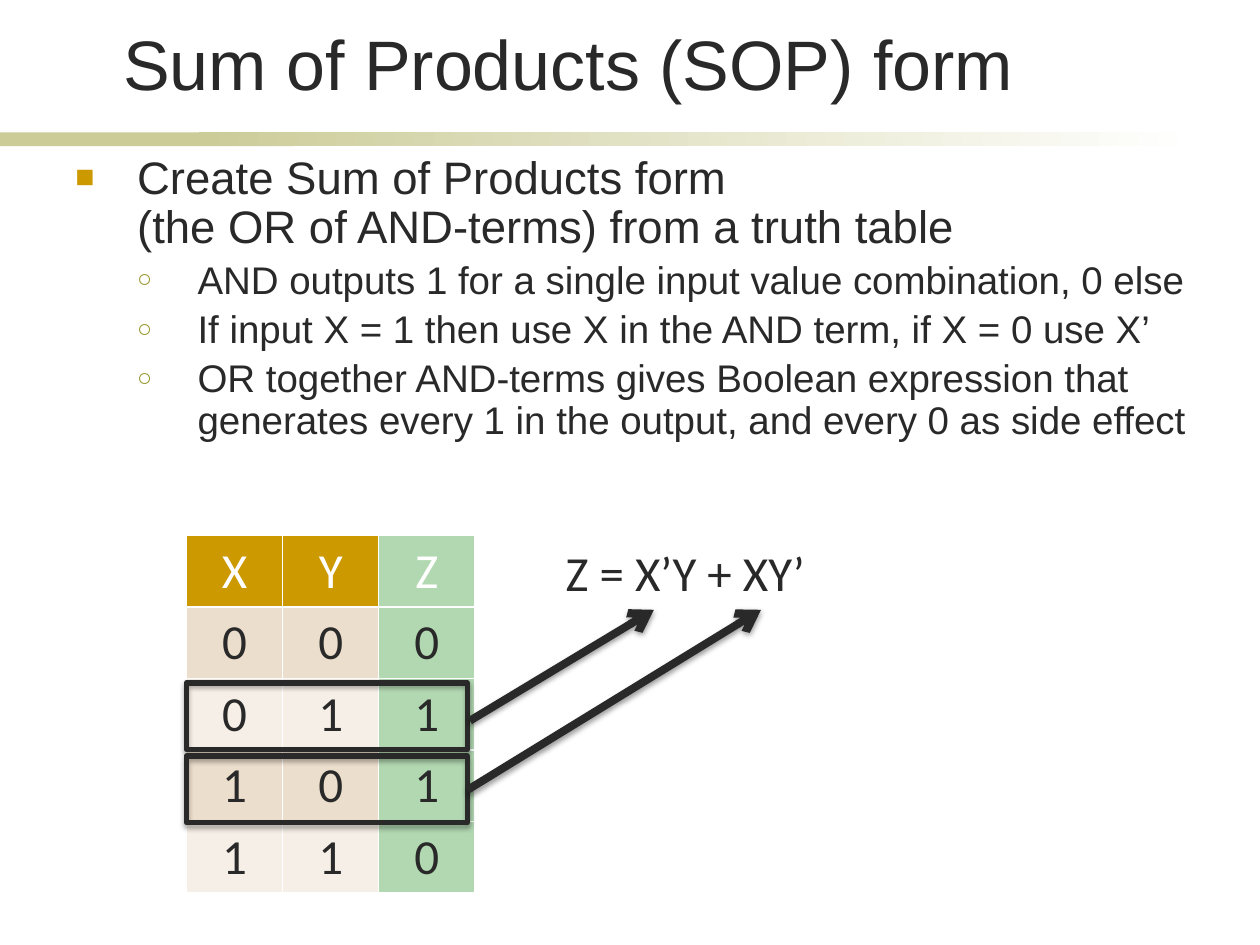
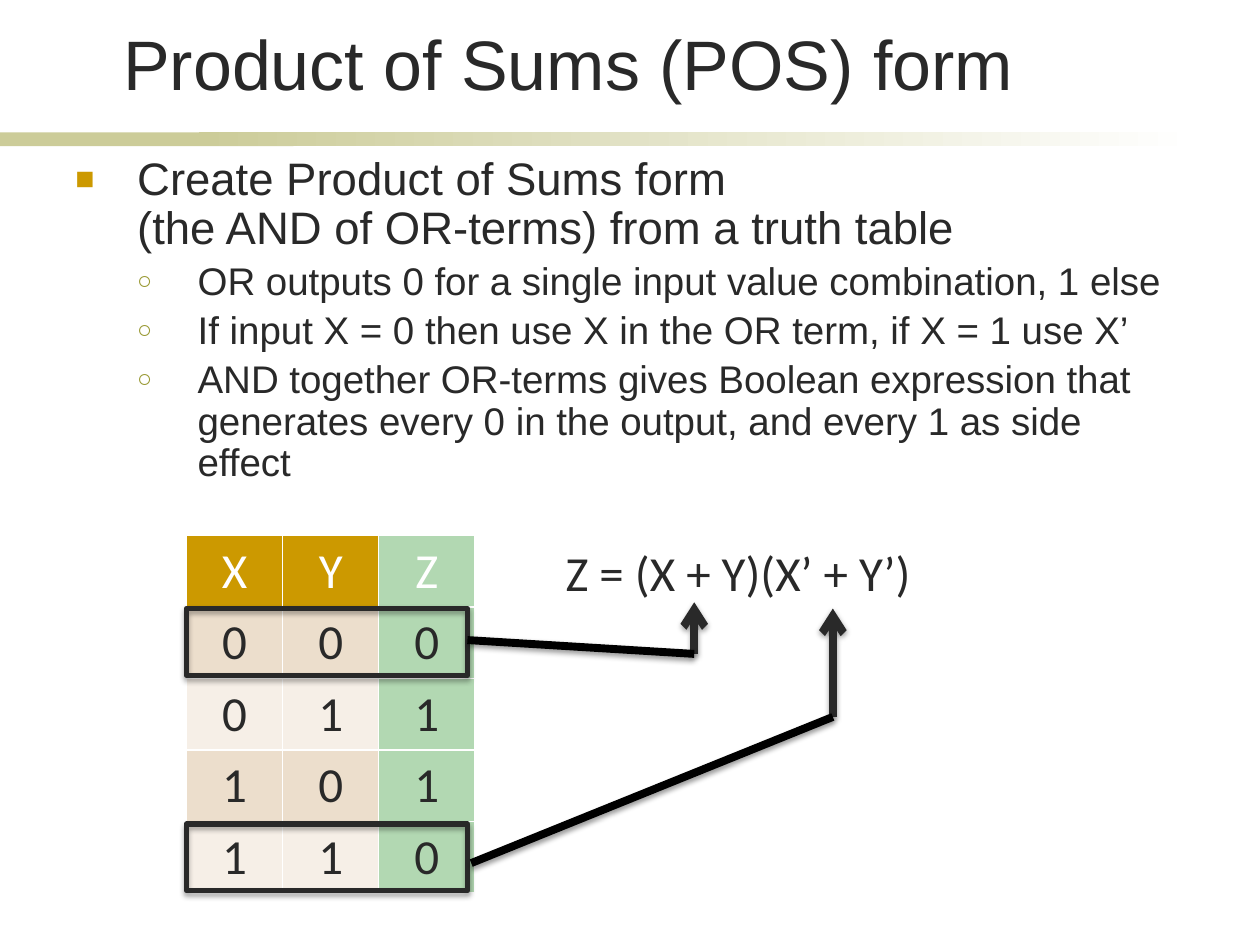
import pptx
import pptx.util
import pptx.dml.color
import pptx.enum.dml
import pptx.enum.shapes
import pptx.enum.text
import pptx.oxml
import pptx.oxml.ns
from lxml import etree

Inches, Pt = pptx.util.Inches, pptx.util.Pt
qn = pptx.oxml.ns.qn

# Shared look
INK, BLACK, WHITE = "292929", "000000", "FFFFFF"
GOLD, OLIVE, SAND, GREEN = "CC9900", "999933", "CCCC99", "008000"
ROW_TINTS = ("ECDECC", "F6EFE7")
BODY_FONT, TABLE_FONT = "Arial", "Calibri"
# One entry per level: size, left indent, hanging indent, bullet, colour, bullet %
LEVELS = ((26, 0.49, 0.49, "\u25a0", GOLD, 70),
          (22, 0.97, 0.48, "\u25cb", OLIVE, 65))


def rgb(value):
    return pptx.dml.color.RGBColor.from_string(value)


def add_xml(parent, tag, **attributes):
    child = etree.SubElement(parent, qn(tag))
    for name, value in attributes.items():
        child.set(name, str(value))
    return child


def set_font(para, name, size, colour):
    para.font.name, para.font.size = name, Pt(size)
    para.font.color.rgb = rgb(colour)


def add_text(page, box, wrap=True):
    frame = page.shapes.add_textbox(*map(Inches, box)).text_frame
    frame.word_wrap = wrap
    return frame


def add_rectangle(page, box):
    shape = page.shapes.add_shape(
        pptx.enum.shapes.MSO_SHAPE.RECTANGLE, *map(Inches, box))
    shape.shadow.inherit = False
    return shape


def add_shadow(effects, distance, opacity):
    shadow = add_xml(effects, "a:outerShdw", blurRad=Pt(3.1), dist=Pt(distance),
                     dir=90 * 60000, rotWithShape=0)
    colour = add_xml(shadow, "a:srgbClr", val=BLACK)
    add_xml(colour, "a:alpha", val=opacity * 1000)


def draw_band(page, top=1.05, height=0.11):
    solid = add_rectangle(page, (0, top, 2.33, height))
    solid.fill.solid()
    solid.fill.fore_color.rgb = rgb(SAND)
    fading = add_rectangle(page, (1.58, top, 7.92, height))
    fading.fill.gradient()
    fading.fill.gradient_angle = 0
    for stop, colour in zip(fading.fill.gradient_stops, (SAND, WHITE)):
        stop.color.rgb = rgb(colour)
    for shape in (solid, fading):
        shape.line.fill.background()


def draw_title(page, text, box):
    frame = add_text(page, box)
    frame.vertical_anchor = pptx.enum.text.MSO_ANCHOR.BOTTOM
    para = frame.paragraphs[0]
    para.text = text
    set_font(para, BODY_FONT, 40, INK)


def draw_outline(page, heading, points, box):
    frame = add_text(page, box)
    for index, text in enumerate([heading, *points]):
        para = frame.add_paragraph() if index else frame.paragraphs[0]
        para.text = text
        para.level = min(index, 1)
        size, indent, hanging, mark, colour, scale = LEVELS[para.level]
        set_font(para, BODY_FONT, size, INK)
        para.line_spacing = 0.9
        # Relative spacing and bullet
        settings = para._p.get_or_add_pPr()
        settings.set("marL", str(Inches(indent)))
        settings.set("indent", str(-Inches(hanging)))
        before = add_xml(settings, "a:spcBef")
        add_xml(before, "a:spcPct", val=20000)
        bullet_colour = add_xml(settings, "a:buClr")
        add_xml(bullet_colour, "a:srgbClr", val=colour)
        add_xml(settings, "a:buSzPct", val=scale * 1000)
        add_xml(settings, "a:buFont", typeface=BODY_FONT)
        add_xml(settings, "a:buChar", char=mark)
        # The run defaults must close the paragraph settings
        settings.append(settings.find(qn("a:defRPr")))


def style_cell(cell, fill, opacity=100):
    settings = cell._tc.get_or_add_tcPr()
    for side in ("a:lnL", "a:lnR", "a:lnT", "a:lnB"):
        border = add_xml(settings, side, w=Pt(1))
        add_xml(add_xml(border, "a:solidFill"), "a:srgbClr", val=WHITE)
    cell.fill.solid()
    cell.fill.fore_color.rgb = rgb(fill)
    if opacity < 100:
        colour = settings.find(qn("a:solidFill")).find(qn("a:srgbClr"))
        add_xml(colour, "a:alpha", val=opacity * 1000)


def draw_truth_table(page, rows, box):
    table = page.shapes.add_table(
        len(rows), len(rows[0]), *map(Inches, box)).table
    table.horz_banding = False
    for r, row in enumerate(rows):
        for c, text in enumerate(row):
            cell = table.cell(r, c)
            if c == len(row) - 1:
                style_cell(cell, GREEN, 30)
            else:
                style_cell(cell, ROW_TINTS[(r - 1) % 2] if r else GOLD)
            para = cell.text_frame.paragraphs[0]
            para.text = text
            para.alignment = pptx.enum.text.PP_ALIGN.CENTER
            set_font(para, TABLE_FONT, 28, INK if r else WHITE)
            para.font.bold = False


def draw_formula(page, text, box):
    frame = add_text(page, box, wrap=False)
    frame.auto_size = pptx.enum.text.MSO_AUTO_SIZE.SHAPE_TO_FIT_TEXT
    frame.paragraphs[0].text = text
    set_font(frame.paragraphs[0], TABLE_FONT, 28, INK)


def draw_row_frame(page, box):
    shape = add_rectangle(page, box)
    shape.fill.background()
    shape.line.color.rgb = rgb(INK)
    shape.line.width = Pt(3)
    add_shadow(shape._element.spPr.find(qn("a:effectLst")), 1.8, 35)


def draw_line(page, start, end, colour=INK, arrow=True):
    line = page.shapes.add_connector(
        pptx.enum.shapes.MSO_CONNECTOR.STRAIGHT, *map(Inches, start + end))
    line.line.color.rgb = rgb(colour)
    line.line.width = Pt(4.5)
    if arrow:
        add_xml(line.line._get_or_add_ln(), "a:tailEnd", type="arrow")
    add_shadow(add_xml(line._element.spPr, "a:effectLst"), 1.6, 38)


def draw_page(deck, title, heading, points, formula, body_box, formula_width,
              frame_tops):
    page = deck.slides.add_slide(deck.slide_layouts[6])
    draw_band(page)
    draw_title(page, title, (0.88, 0.13, 8.25, 0.75))
    draw_outline(page, heading, points, body_box)
    draw_truth_table(page, TRUTH_TABLE, (1.48, 4.25, 2.29, 2.83))
    draw_formula(page, formula, (4.39, 4.26, formula_width, 0.57))
    for top in frame_tops:
        draw_row_frame(page, (1.48, top, 2.23, 0.53))
    return page


TRUTH_TABLE = ("XYZ", "000", "011", "101", "110")

deck = pptx.Presentation()
deck.slide_width, deck.slide_height = Inches(10), Inches(7.5)

# Sum of products: arrows run straight from the rows to the terms
page = draw_page(
    deck, "Sum of Products (SOP) form",
    "Create Sum of Products form\v(the OR of AND-terms) from a truth table",
    ["AND outputs 1 for a single input value combination, 0 else",
     "If input X = 1 then use X in the AND term, if X = 0 use X’",
     "OR together AND-terms gives Boolean expression that generates "
     "every 1 in the output, and every 0 as side effect"],
    "Z = X’Y + XY’", (0.5, 1.18, 9.17, 4.02), 2.11, (5.42, 6))
for start, end in (((3.73, 5.72), (5.19, 4.84)), ((3.71, 6.27), (6.04, 4.84))):
    draw_line(page, start, end)

# Product of sums: each link bends below its term
page = draw_page(
    deck, "Product of Sums (POS) form",
    "Create Product of Sums form\v(the AND of OR-terms) from a truth table",
    ["OR outputs 0 for a single input value combination, 1 else",
     "If input X = 0 then use X in the OR term, if X = 1 use X’",
     "AND together OR-terms gives Boolean expression that generates "
     "every 0 in the output, and every 1 as side effect"],
    "Z = (X + Y)(X’ + Y’)", (0.5, 1.19, 8.89, 4.02), 2.97, (4.83, 6.54))
for row_end, bend, tip in (((3.71, 5.08), (5.51, 5.19), (5.51, 4.78)),
                           ((3.74, 6.85), (6.61, 5.69), (6.61, 4.83))):
    draw_line(page, bend, tip)
    draw_line(page, bend, row_end, BLACK, arrow=False)

deck.save("out.pptx")
